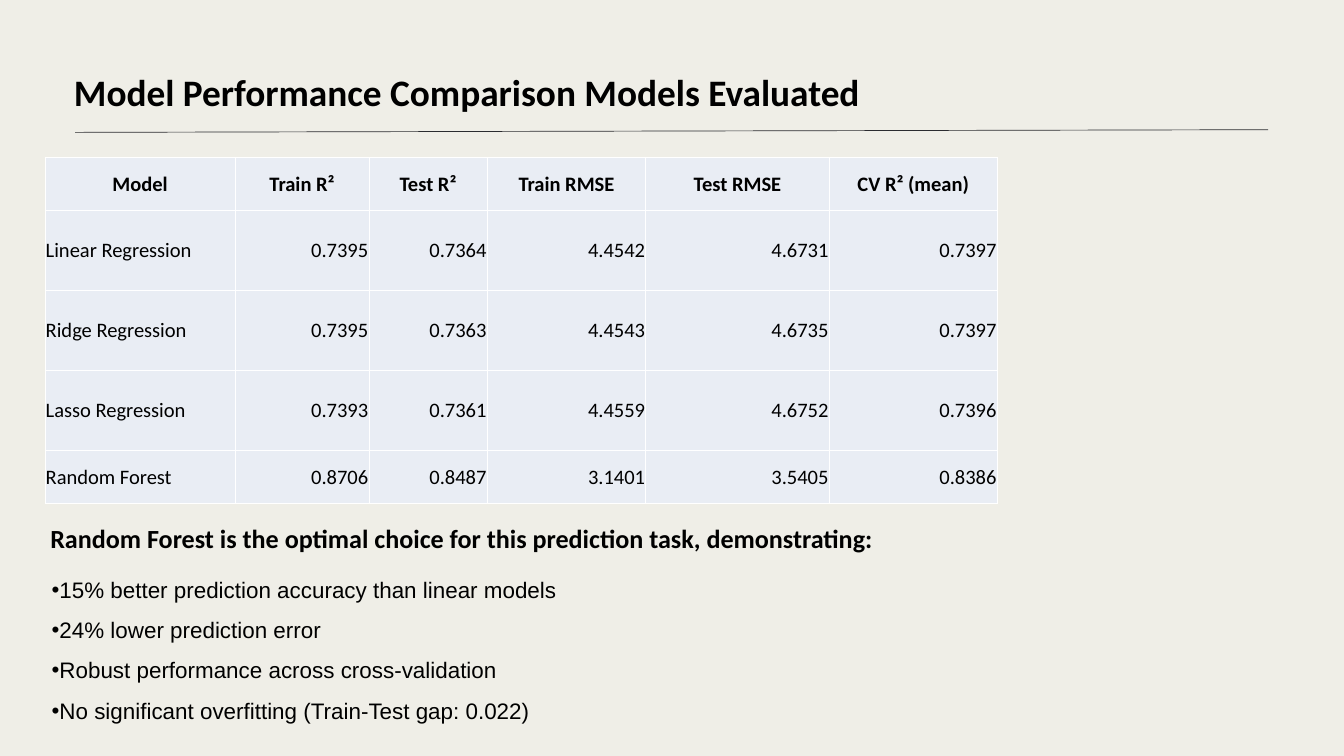
"""Build a slide that compares the scores of four regression models."""
from lxml import etree
from pptx import Presentation
from pptx.dml.color import RGBColor
from pptx.enum import text as t
from pptx.oxml import ns
from pptx.util import Inches, Pt

TITLE = "Model Performance Comparison Models Evaluated"
HEAD = ["Model", "Train R²", "Test R²", "Train RMSE", "Test RMSE", "CV R² (mean)"]
SCORES = [
    ("Linear Regression", "0.7395", "0.7364", "4.4542", "4.6731", "0.7397"),
    ("Ridge Regression", "0.7395", "0.7363", "4.4543", "4.6735", "0.7397"),
    ("Lasso Regression", "0.7393", "0.7361", "4.4559", "4.6752", "0.7396"),
    ("Random Forest", "0.8706", "0.8487", "3.1401", "3.5405", "0.8386"),
]
CLAIM = "Random Forest is the optimal choice for this prediction task, demonstrating:"
POINTS = [
    "15% better prediction accuracy than linear models",
    "24% lower prediction error",
    "Robust performance across cross-validation",
    "No significant overfitting (Train-Test gap: 0.022)",
]
WIDTHS = [2.83, 1.99, 1.76, 2.36, 2.73, 2.5]
HEIGHTS = [0.79, 1.19, 1.19, 1.19, 0.79]
COLORS = {"back": "EFEEE7", "ink": "000000", "rule": "2B2C30",
          "cell": "E9EDF4", "edge": "FFFFFF"}


def color(name):
    return RGBColor.from_string(COLORS[name])


def style(para, size, face="Calibri", bold=False):
    for run in para.runs:
        font = run.font
        font.size, font.name, font.bold = Pt(size), face, bold
        font.color.rgb = color("ink")


def add_text(slide, box, lines, size, face="Calibri", bold=False, wrap=True):
    frame = slide.shapes.add_textbox(*map(Inches, box)).text_frame
    frame.word_wrap = wrap
    frame.auto_size = t.MSO_AUTO_SIZE.SHAPE_TO_FIT_TEXT
    frame.text = "\n".join(lines)
    for para in frame.paragraphs:
        style(para, size, face, bold)
    return frame


def add_rule(slide, start, end):
    line = slide.shapes.add_connector(1, *map(Inches, start + end))
    line.line.color.rgb = color("rule")
    line.line.width = Pt(0.75)
    etree.SubElement(line.element.spPr, ns.qn("a:effectLst"))


def add_edges(cell):
    props = cell._tc.get_or_add_tcPr()
    for side in "LRTB":
        line = etree.SubElement(props, ns.qn(f"a:ln{side}"), w=str(Pt(1)))
        fill = etree.SubElement(line, ns.qn("a:solidFill"))
        etree.SubElement(fill, ns.qn("a:srgbClr"), val=COLORS["edge"])


def fill_cell(cell, value, align, bold):
    add_edges(cell)
    cell.fill.solid()
    cell.fill.fore_color.rgb = color("cell")
    cell.margin_left = cell.margin_right = cell.margin_top = Inches(0.01)
    cell.margin_bottom = 0
    cell.vertical_anchor = t.MSO_ANCHOR.MIDDLE
    cell.text_frame.text = value
    para = cell.text_frame.paragraphs[0]
    para.alignment = align
    style(para, 22, bold=bold)


def add_scores(slide, left, top):
    rows = [HEAD, *SCORES]
    size = (left, top, sum(WIDTHS), sum(HEIGHTS))
    table = slide.shapes.add_table(len(rows), len(HEAD), *map(Inches, size)).table
    for col, width in zip(table.columns, WIDTHS):
        col.width = Inches(width)
    for row, height in zip(table.rows, HEIGHTS):
        row.height = Inches(height)
    for r, row in enumerate(rows):
        for c, value in enumerate(row):
            side = t.PP_ALIGN.RIGHT if c else t.PP_ALIGN.LEFT
            align = side if r else t.PP_ALIGN.CENTER
            fill_cell(table.cell(r, c), value, align, r == 0)


def add_points(slide, box):
    frame = add_text(slide, box, POINTS, 24, "Arial")
    frame.vertical_anchor = t.MSO_ANCHOR.MIDDLE
    for para in frame.paragraphs:
        props = para._p.get_or_add_pPr()
        etree.SubElement(props, ns.qn("a:buFont"), typeface="Arial")
        etree.SubElement(props, ns.qn("a:buChar"), char="•")
        para.line_spacing = 1.5


def main():
    deck = Presentation()
    deck.slide_width, deck.slide_height = Inches(20), Inches(11.25)
    slide = deck.slides.add_slide(deck.slide_layouts[6])
    slide.background.fill.solid()
    slide.background.fill.fore_color.rgb = color("back")
    add_rule(slide, (1.12, 1.97), (18.87, 1.93))
    title = add_text(slide, (1.1, 1.03, 18.61, 0.67), [TITLE], 40, bold=True)
    title.margin_left = title.margin_right = 0
    title.margin_top = title.margin_bottom = 0
    add_scores(slide, 0.67, 2.34)
    add_text(slide, (0.65, 7.73, 12.59, 1.04), [CLAIM], 28, bold=True, wrap=False)
    add_points(slide, (0.67, 8.31, 14.5, 2.52))
    deck.save("out.pptx")


if __name__ == "__main__":
    main()
